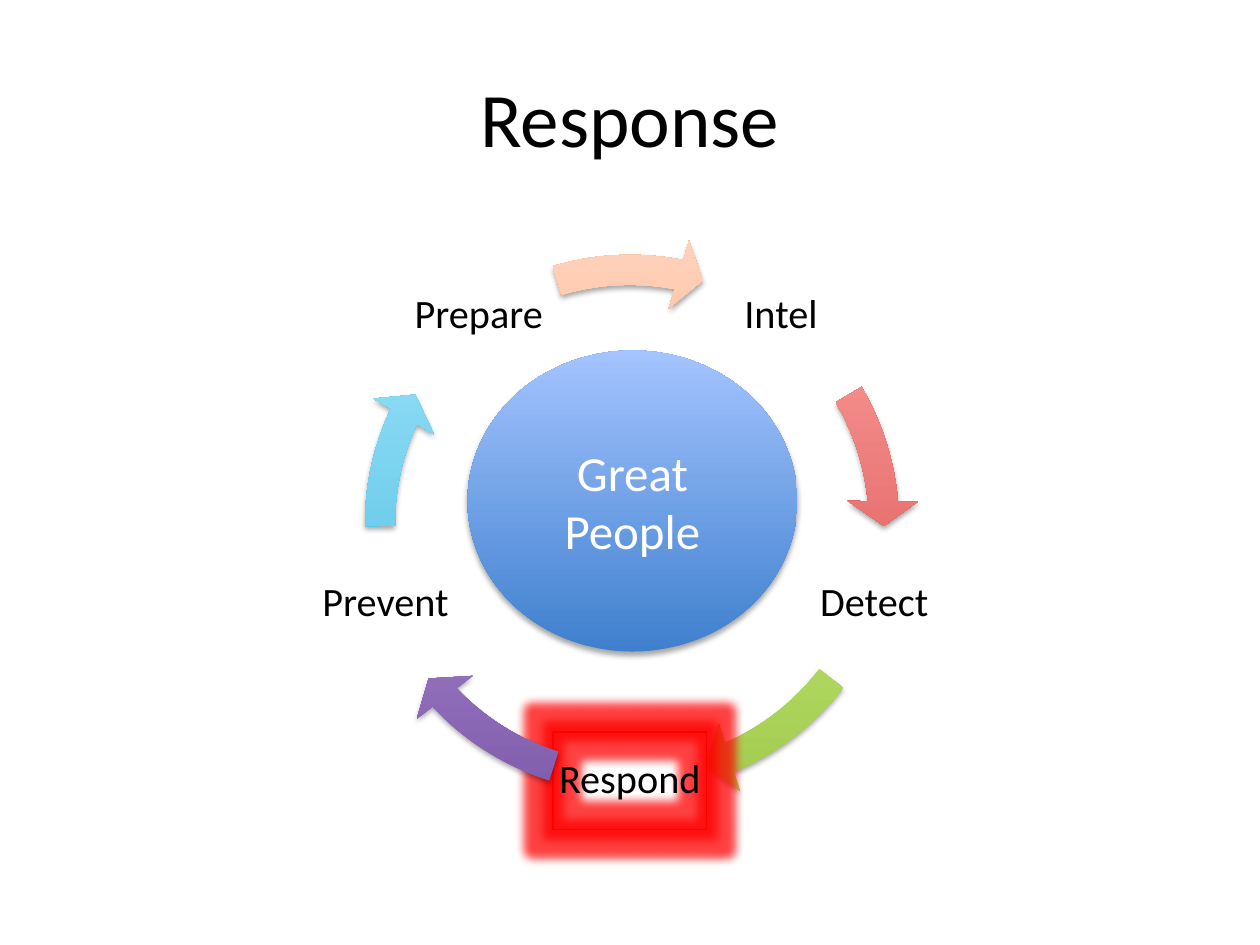
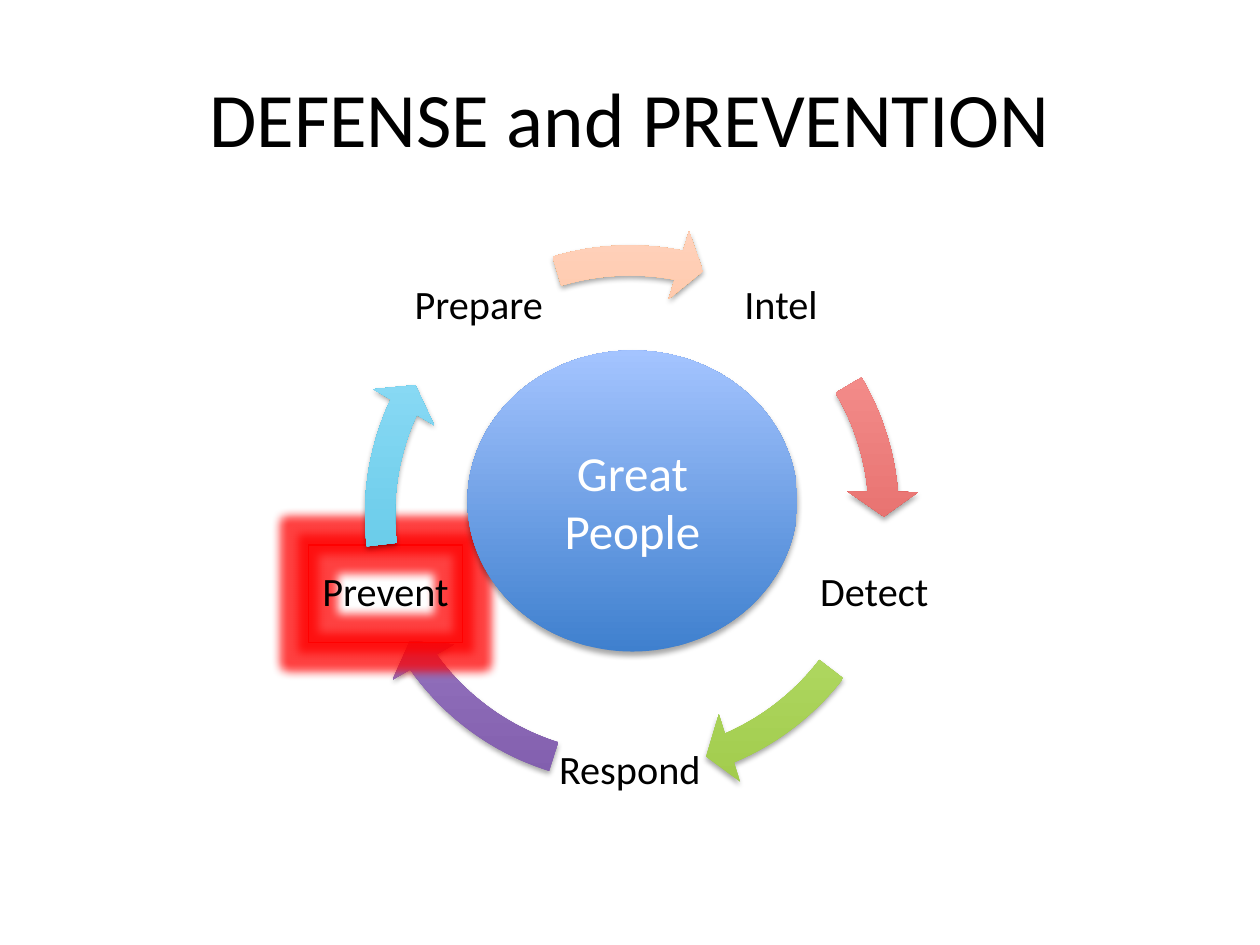
"""Build two slides that show a security cycle with one step highlighted on each."""
from math import cos, radians, sin

from lxml import etree
from pptx import Presentation
from pptx.dml.color import RGBColor
from pptx.enum.shapes import MSO_SHAPE
from pptx.enum.text import MSO_ANCHOR, PP_ALIGN
from pptx.oxml.ns import qn
from pptx.util import Cm, Pt

BLACK = RGBColor(0x00, 0x00, 0x00)
WHITE = RGBColor(0xFF, 0xFF, 0xFF)
HIGHLIGHT = RGBColor(0xFF, 0x00, 0x00)
HUB_COLORS = (RGBColor(0x3F, 0x80, 0xCE), RGBColor(0xA4, 0xC4, 0xFF))
RED = (RGBColor(0xD1, 0x40, 0x3C), RGBColor(0xFF, 0xA6, 0xA5))
GREEN = (RGBColor(0xA0, 0xCA, 0x4A), RGBColor(0xDA, 0xFF, 0xA5))
PURPLE = (RGBColor(0x7F, 0x5B, 0xAB), RGBColor(0xC8, 0xB0, 0xED))
CYAN = (RGBColor(0x39, 0xB7, 0xD8), RGBColor(0xA7, 0xE6, 0xFF))
ORANGE = (RGBColor(0xFF, 0x95, 0x3E), RGBColor(0xFF, 0xD2, 0xBD))

RECTANGLE = MSO_SHAPE.RECTANGLE
OVAL = MSO_SHAPE.OVAL
CIRCULAR_ARROW = MSO_SHAPE.CIRCULAR_ARROW
MIDDLE = MSO_ANCHOR.MIDDLE
CENTER = PP_ALIGN.CENTER

FONT = "Calibri"
HUB_LINES = ["Great", "People"]
STEPS = [
    ("Intel", RED, 0),
    ("Detect", GREEN, 0),
    ("Respond", PURPLE, 0),
    ("Prevent", CYAN, 0.08),
    ("Prepare", ORANGE, 0),
]
ARCS = {
    "Intel": (329.43, 354.9),
    "Detect": (37.55, 66.93),
    "Respond": (107.48, 136.86),
    "Prevent": (179.5, 204.98),
    "Prepare": (253.3, 281.11),
}
SLIDES = [
    {"title": "Response", "highlight": "Respond", "center_y": 10.56, "arcs": ARCS},
    {"title": "DEFENSE and PREVENTION", "highlight": "Prevent", "center_y": 10.37,
     "arcs": ARCS | {"Respond": (107.48, 144.46), "Prevent": (173.17, 204.98)}},
]

CENTER_X = 12.7
LABEL_RADIUS = 5.18
LABEL_SIZE = 3.1
HIGHLIGHT_HEIGHT = 1.97
RING_SIZE = 11.66
FIRST_ANGLE = -54
ARROW_THICKNESS = 0.052
ARROW_HEAD_ANGLE = 5.6
ARROW_HEAD_WIDTH = 0.061
ADJUSTMENT_PER_DEGREE = 0.6


def centered(x, y, width, height):
    """Return left, top, width and height of a box around a centre."""
    return Cm(x - width / 2), Cm(y - height / 2), Cm(width), Cm(height)


def write(shape, lines, *, size, color=BLACK, inset=None, spacing=None):
    """Fill a shape with centred paragraphs."""
    frame = shape.text_frame
    frame.word_wrap = True
    frame.vertical_anchor = MIDDLE
    if inset is not None:
        frame.margin_left = frame.margin_right = Cm(inset)
        frame.margin_top = frame.margin_bottom = Cm(inset)
    for index, line in enumerate(lines):
        paragraph = frame.add_paragraph() if index else frame.paragraphs[0]
        paragraph.text = line
        paragraph.alignment = CENTER
        paragraph.line_spacing = spacing
        paragraph.font.name = FONT
        paragraph.font.size = Pt(size)
        paragraph.font.color.rgb = color


def add_effect(shape, tag, color, alpha, **attributes):
    """Give a shape one coloured effect in place of the theme's."""
    shape.shadow.inherit = False
    effects = shape._element.spPr.find(qn("a:effectLst"))
    effect = etree.SubElement(effects, qn(tag), attributes)
    tint = etree.SubElement(effect, qn("a:srgbClr"), val=str(color))
    etree.SubElement(tint, qn("a:alpha"), val=str(alpha * 1000))


def add_shaded(shapes, kind, box, colors):
    """Add a shape with a bottom-to-top gradient and a soft shadow."""
    shape = shapes.add_shape(kind, *box)
    shape.fill.gradient()
    shape.fill.gradient_angle = 90
    for stop, color in zip(shape.fill.gradient_stops, colors):
        stop.color.rgb = color
    shape.line.fill.background()
    add_effect(shape, "a:outerShdw", BLACK, 35, blurRad="40000", dist="23000",
               dir="5400000", rotWithShape="0")
    return shape


def add_highlight(shapes, box):
    """Add a glowing outline."""
    frame = shapes.add_shape(RECTANGLE, *box)
    frame.fill.background()
    frame.line.color.rgb = HIGHLIGHT
    frame.line.width = Pt(0.75)
    add_effect(frame, "a:glow", HIGHLIGHT, 75, rad="139700")


def add_cycle(shapes, highlight, center_y, arcs):
    """Add the labels and arrows around the ring."""
    for index, (step, colors, shift) in enumerate(STEPS):
        angle = radians(FIRST_ANGLE + index * 360 / len(STEPS))
        x = CENTER_X + LABEL_RADIUS * cos(angle)
        y = center_y + LABEL_RADIUS * sin(angle)
        height = HIGHLIGHT_HEIGHT if step == highlight else LABEL_SIZE
        box = centered(x, y, LABEL_SIZE, height)
        if step == highlight:
            add_highlight(shapes, box)
        write(shapes.add_textbox(*box), [step], size=23, inset=0.08, spacing=0.9)

        ring = centered(CENTER_X + shift, center_y, RING_SIZE, RING_SIZE)
        arrow = add_shaded(shapes, CIRCULAR_ARROW, ring, colors)
        start, end = arcs[step]
        arrow.adjustments[0] = ARROW_THICKNESS
        for position, degrees in enumerate((ARROW_HEAD_ANGLE, end, start), 1):
            arrow.adjustments[position] = degrees * ADJUSTMENT_PER_DEGREE
        arrow.adjustments[4] = ARROW_HEAD_WIDTH


def main():
    """Build and save the slides."""
    deck = Presentation()
    deck.slide_width, deck.slide_height = Cm(25.4), Cm(19.05)
    for content in SLIDES:
        slide = deck.slides.add_slide(deck.slide_layouts[6])
        title = slide.shapes.add_textbox(Cm(1.27), Cm(0.76), Cm(22.86), Cm(3.18))
        write(title, [content["title"]], size=44)
        cycle = slide.shapes.add_group_shape()
        add_cycle(cycle.shapes, content["highlight"], content["center_y"], content["arcs"])
        hub = add_shaded(slide.shapes, OVAL, centered(12.75, 10.1, 6.65, 6.07), HUB_COLORS)
        write(hub, HUB_LINES, size=28, color=WHITE)
    deck.save("out.pptx")


if __name__ == "__main__":
    main()
